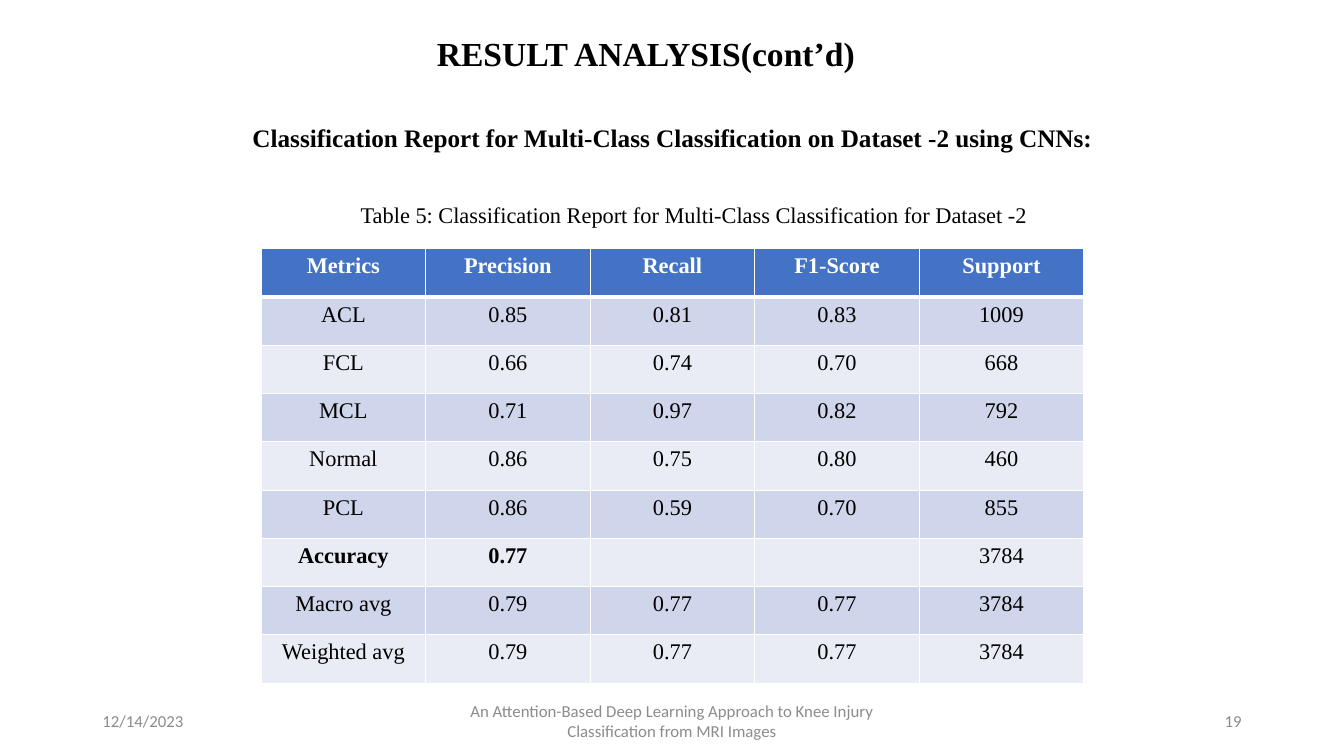
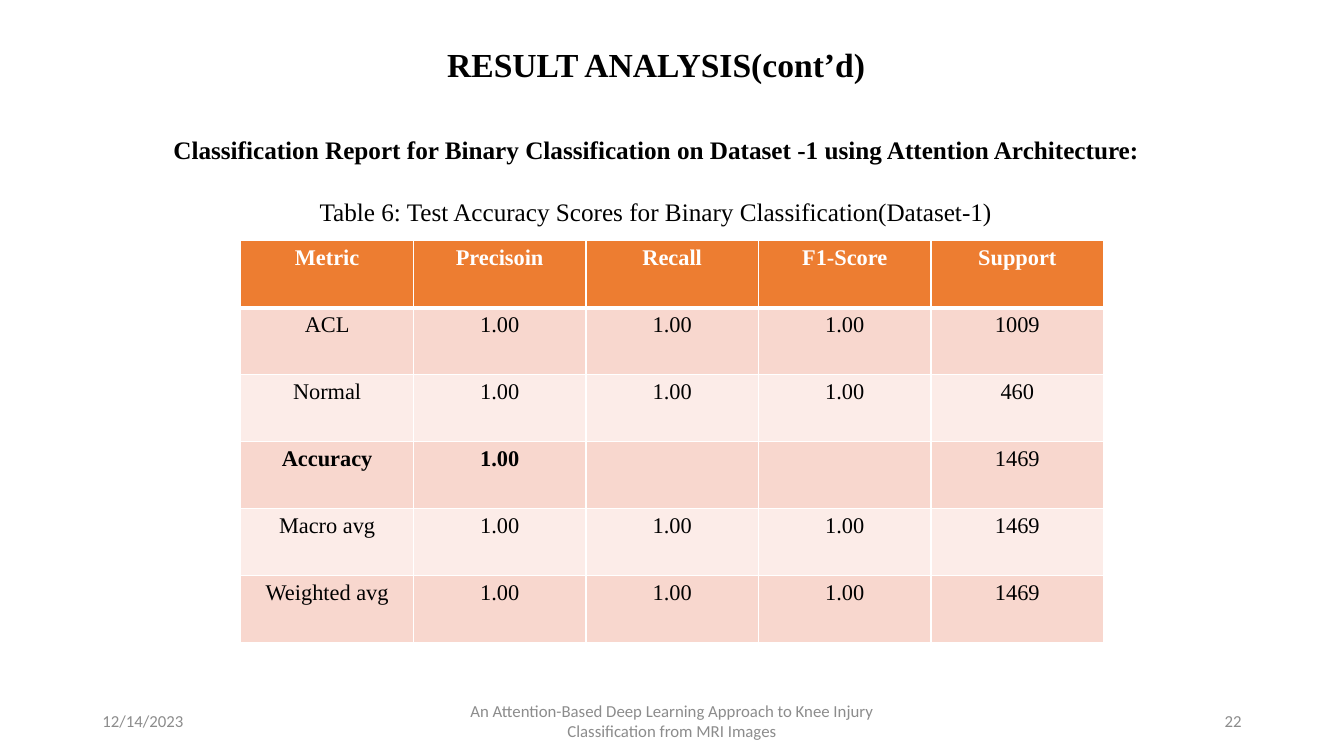
"""Build two result-analysis slides, each with a classification report table."""
from lxml.etree import SubElement
from pptx import Presentation
from pptx.dml.color import RGBColor
from pptx.enum.text import MSO_ANCHOR as Anchor, PP_ALIGN as Align
from pptx.oxml.ns import qn
from pptx.util import Cm, Pt

BLACK = RGBColor(0x00, 0x00, 0x00)
WHITE = RGBColor(0xFF, 0xFF, 0xFF)
GREY = RGBColor(0x8C, 0x8C, 0x8C)
BLUE = RGBColor(0x44, 0x72, 0xC4)
BLUE_BANDS = RGBColor(0xCF, 0xD5, 0xEA), RGBColor(0xE9, 0xEB, 0xF5)
ORANGE = RGBColor(0xED, 0x7D, 0x31)
ORANGE_BANDS = RGBColor(0xF8, 0xD7, 0xCE), RGBColor(0xFC, 0xEC, 0xE8)

SERIF = "Times New Roman"
TITLE_FORMAT = {"name": SERIF, "size": Pt(24), "bold": True, "color": BLACK}
HEADING_FORMAT = {**TITLE_FORMAT, "size": Pt(18)}
CAPTION_FORMAT = {**HEADING_FORMAT, "bold": False}
CELL_FORMAT = {**CAPTION_FORMAT, "size": Pt(16)}
STRONG_CELL_FORMAT = {**CELL_FORMAT, "bold": True}
HEADER_FORMAT = {**STRONG_CELL_FORMAT, "color": WHITE}
FOOTER_FORMAT = {"name": "Calibri", "size": Pt(12), "bold": False, "color": GREY}

TITLE = "RESULT ANALYSIS(cont’d)"
DATE = "12/14/2023"
FOOTER = "An Attention-Based Deep Learning Approach to Knee Injury Classification from MRI Images"
FOOTER_TOP, FOOTER_HEIGHT = 17.65, 1.02
THIN, THICK = Pt(1), Pt(3)

REPORTS = [
    {
        "number": "19",
        "title_box": (10.46, 0.71, 11.63, 1.27),
        "heading": "Classification Report for Multi-Class Classification on Dataset -2 using CNNs:",
        "heading_box": (3.68, 2.97, 26.54, 1.02),
        "caption": "Table 5: Classification Report for Multi-Class Classification for Dataset -2",
        "caption_box": (8.84, 4.95, 18.47, 0.94),
        "caption_format": CELL_FORMAT,
        "caption_align": Align.LEFT,
        "table_box": (6.58, 6.27, 20.73, 10.95),
        "header_fill": BLUE,
        "bands": BLUE_BANDS,
        "rows": [
            ("Metrics", "Precision", "Recall", "F1-Score", "Support"),
            ("ACL", "0.85", "0.81", "0.83", "1009"),
            ("FCL", "0.66", "0.74", "0.70", "668"),
            ("MCL", "0.71", "0.97", "0.82", "792"),
            ("Normal", "0.86", "0.75", "0.80", "460"),
            ("PCL", "0.86", "0.59", "0.70", "855"),
            ("Accuracy", "0.77", "", "", "3784"),
            ("Macro avg", "0.79", "0.77", "0.77", "3784"),
            ("Weighted avg", "0.79", "0.77", "0.77", "3784"),
        ],
    },
    {
        "number": "22",
        "title_box": (10.72, 0.97, 11.63, 1.27),
        "heading": "Classification Report for Binary Classification on Dataset -1 using Attention Architecture:",
        "heading_box": (3.94, 3.25, 25.2, 1.02),
        "caption": "Table 6: Test Accuracy Scores for Binary Classification(Dataset-1)",
        "caption_box": (7.21, 4.83, 18.64, 1.02),
        "caption_format": CAPTION_FORMAT,
        "caption_align": Align.CENTER,
        "table_box": (6.07, 6.07, 21.74, 10.13),
        "header_fill": ORANGE,
        "bands": ORANGE_BANDS,
        "rows": [
            ("Metric", "Precisoin", "Recall", "F1-Score", "Support"),
            ("ACL", "1.00", "1.00", "1.00", "1009"),
            ("Normal", "1.00", "1.00", "1.00", "460"),
            ("Accuracy", "1.00", "", "", "1469"),
            ("Macro avg", "1.00", "1.00", "1.00", "1469"),
            ("Weighted avg", "1.00", "1.00", "1.00", "1469"),
        ],
    },
]


def write(paragraph, text, text_format, align):
    paragraph.alignment = align
    if not text:
        return
    run = paragraph.add_run()
    run.text = text
    for key, value in text_format.items():
        if key == "color":
            run.font.color.rgb = value
        else:
            setattr(run.font, key, value)


def add_text(slide, box, text, text_format, align=Align.CENTER, anchor=Anchor.TOP):
    frame = slide.shapes.add_textbox(*map(Cm, box)).text_frame
    frame.word_wrap = True
    frame.vertical_anchor = anchor
    write(frame.paragraphs[0], text, text_format, align)


def add_borders(cell, top, bottom):
    properties = cell._tc.get_or_add_tcPr()
    for side, width in (("L", THIN), ("R", THIN), ("T", top), ("B", bottom)):
        line = SubElement(properties, qn(f"a:ln{side}"), w=str(int(width)))
        SubElement(SubElement(line, qn("a:solidFill")), qn("a:srgbClr"), val=str(WHITE))


def cell_format(row, column, label):
    if row == 0:
        return HEADER_FORMAT
    return STRONG_CELL_FORMAT if label == "Accuracy" and column < 2 else CELL_FORMAT


def add_report_table(slide, report):
    rows = report["rows"]
    left, top, width, height = report["table_box"]
    table = slide.shapes.add_table(
        len(rows), len(rows[0]), Cm(left), Cm(top), Cm(width), Cm(height)).table
    table.horz_banding = False
    for column in table.columns:
        column.width = Cm(width / len(rows[0]))
    for row in table.rows:
        row.height = Cm(height / len(rows))
    for row, values in enumerate(rows):
        fill = report["bands"][(row - 1) % 2] if row else report["header_fill"]
        for column, value in enumerate(values):
            cell = table.cell(row, column)
            add_borders(cell, THICK if row == 1 else THIN, THICK if row == 0 else THIN)
            cell.fill.solid()
            cell.fill.fore_color.rgb = fill
            write(cell.text_frame.paragraphs[0], value,
                  cell_format(row, column, values[0]), Align.CENTER)


def add_footer(slide, number):
    for left, width, text, align in (
        (2.33, 7.62, DATE, Align.LEFT),
        (11.22, 11.43, FOOTER, Align.CENTER),
        (23.92, 7.62, number, Align.RIGHT),
    ):
        add_text(slide, (left, FOOTER_TOP, width, FOOTER_HEIGHT), text,
                 FOOTER_FORMAT, align, Anchor.MIDDLE)


def main():
    presentation = Presentation()
    presentation.slide_width, presentation.slide_height = Cm(33.87), Cm(19.05)
    for report in REPORTS:
        slide = presentation.slides.add_slide(presentation.slide_layouts[6])
        add_footer(slide, report["number"])
        add_report_table(slide, report)
        add_text(slide, report["caption_box"], report["caption"],
                 report["caption_format"], report["caption_align"])
        add_text(slide, report["title_box"], TITLE, TITLE_FORMAT)
        add_text(slide, report["heading_box"], report["heading"], HEADING_FORMAT)
    presentation.save("out.pptx")


if __name__ == "__main__":
    main()
